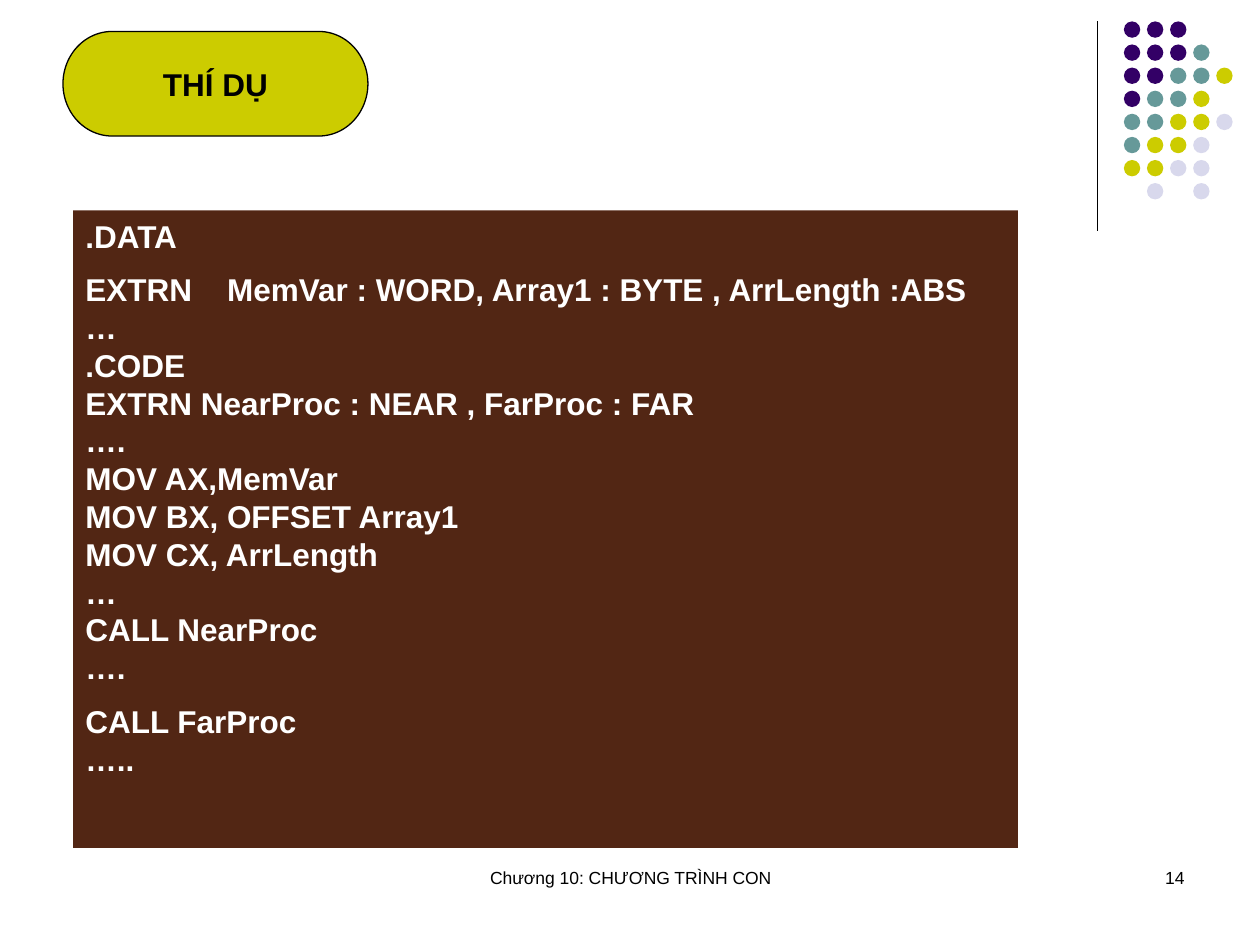
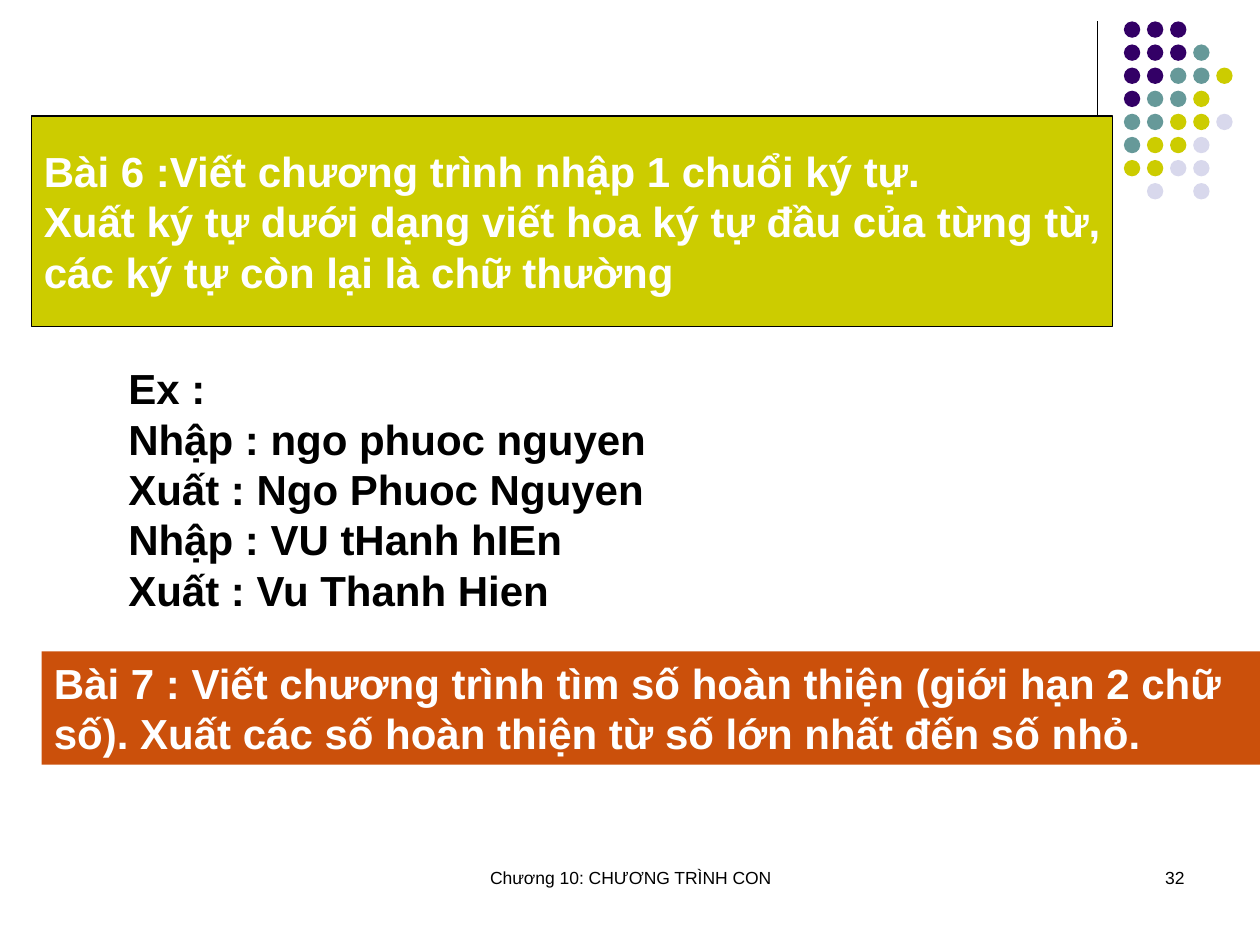
from pptx import Presentation
from pptx.dml.color import RGBColor
from pptx.enum.shapes import MSO_CONNECTOR as Connector, MSO_SHAPE as Shape
from pptx.enum.text import MSO_ANCHOR as Anchor, PP_ALIGN as Align
from pptx.oxml.ns import qn
from pptx.util import Inches, Pt
from lxml.etree import SubElement

FONT = "Arial"
BLACK = RGBColor(0x00, 0x00, 0x00)
WHITE = RGBColor(0xFF, 0xFF, 0xFF)
PURPLE = RGBColor(0x33, 0x00, 0x66)
TEAL = RGBColor(0x66, 0x99, 0x99)
OLIVE = RGBColor(0xCC, 0xCC, 0x00)
LAVENDER = RGBColor(0xD8, 0xD8, 0xEC)
BROWN = RGBColor(0x52, 0x26, 0x14)
ORANGE = RGBColor(0xCB, 0x50, 0x0B)

FOOTER = "Chương 10: CHƯƠNG TRÌNH CON"

# Corner dots: one letter per dot, a space where there is none
DOT_COLORS = {"P": PURPLE, "T": TEAL, "O": OLIVE, "L": LAVENDER}
DOT_ROWS = ["PPP", "PPPT", "PPTTO", "PTTO", "TTOOL", "TOOL", "OOLL", " L L"]
DOT_SIZE = Inches(0.13)
DOT_PITCH = Inches(0.55) / 3

CODE = [
    ".DATA",
    "EXTRN    MemVar : WORD, Array1 : BYTE , ArrLength :ABS\n…\n.CODE\n"
    "EXTRN NearProc : NEAR , FarProc : FAR\n….\nMOV AX,MemVar\n"
    "MOV BX, OFFSET Array1\nMOV CX, ArrLength\n…\nCALL NearProc\n….",
    "CALL FarProc\n…..",
]
EXERCISE_6 = (
    "Bài 6 :Viết chương trình nhập 1 chuổi ký tự.\n"
    "Xuất ký tự dưới dạng viết hoa ký tự đầu của từng từ,\n"
    "các ký tự còn lại là chữ thường"
)
EXAMPLE = (
    "Ex :\nNhập : ngo phuoc nguyen\nXuất : Ngo Phuoc Nguyen\n"
    "Nhập : VU tHanh hIEn\nXuất : Vu Thanh Hien"
)
EXERCISE_7 = (
    "Bài 7 : Viết chương trình tìm số hoàn thiện (giới hạn 2 chữ số). "
    "Xuất các số hoàn thiện từ số lớn nhất đến số nhỏ."
)


def write(box, paragraphs, size, color, bold=True, align=Align.LEFT,
          anchor=Anchor.TOP, wrap=True):
    """Fill a box; later paragraphs keep half a line of space before them."""
    frame = box.text_frame
    frame.word_wrap = wrap
    frame.vertical_anchor = anchor
    for index, text in enumerate(paragraphs):
        para = frame.add_paragraph() if index else frame.paragraphs[0]
        para.text = text
        para.alignment = align
        if index:
            para.space_before = Pt(size / 2)
        for span in para.runs:
            span.font.name = FONT
            span.font.size = Pt(size)
            span.font.bold = bold
            span.font.color.rgb = color


def add_text(page, area, paragraphs, size, color, **style):
    box = page.shapes.add_textbox(*map(Inches, area))
    write(box, paragraphs, size, color, **style)


def add_panel(page, kind, area, fill, paragraphs, size, color,
              outlined=False, **style):
    panel = page.shapes.add_shape(kind, *map(Inches, area))
    panel.shadow.inherit = False
    panel.fill.solid()
    panel.fill.fore_color.rgb = fill
    if outlined:
        panel.line.color.rgb = BLACK
        panel.line.width = Pt(0.75)
    else:
        panel.line.fill.background()
    write(panel, paragraphs, size, color, **style)


def add_rule(page):
    x = Inches(8.71)
    rule = page.shapes.add_connector(
        Connector.STRAIGHT, x, Inches(0.17), x, Inches(1.83))
    rule.line.color.rgb = BLACK
    rule.line.width = Pt(0.75)
    SubElement(rule._element.spPr, qn("a:effectLst"))


def add_dots(page):
    group = page.shapes.add_group_shape()
    for row, letters in enumerate(DOT_ROWS):
        for column, letter in enumerate(letters):
            if letter == " ":
                continue
            dot = group.shapes.add_shape(
                Shape.OVAL,
                round(Inches(8.92) + column * DOT_PITCH),
                round(Inches(0.17) + row * DOT_PITCH),
                DOT_SIZE, DOT_SIZE)
            dot.shadow.inherit = False
            dot.fill.solid()
            dot.fill.fore_color.rgb = DOT_COLORS[letter]
            dot.line.fill.background()


def add_page(deck, number):
    """Blank page with the shared corner decoration and footer."""
    page = deck.slides.add_slide(deck.slide_layouts[6])
    add_rule(page)
    add_dots(page)
    add_text(page, (3.42, 6.83, 3.17, 0.5), [FOOTER], 10, BLACK,
             bold=False, align=Align.CENTER)
    add_text(page, (7.17, 6.83, 2.33, 0.5), [str(number)], 10, BLACK,
             bold=False, align=Align.RIGHT)
    return page


def build_code_example(deck):
    page = add_page(deck, 14)
    add_panel(page, Shape.FLOWCHART_TERMINATOR, (0.5, 0.25, 2.42, 0.83), OLIVE,
              ["THÍ DỤ"], 18, BLACK, outlined=True, align=Align.CENTER,
              anchor=Anchor.MIDDLE, wrap=False)
    add_panel(page, Shape.RECTANGLE, (0.58, 1.67, 7.5, 5.06), BROWN,
              CODE, 18, WHITE)


def build_exercises(deck):
    page = add_page(deck, 32)
    add_panel(page, Shape.FLOWCHART_PROCESS, (0.25, 0.92, 8.58, 1.67), OLIVE,
              [EXERCISE_6], 24, WHITE, outlined=True,
              anchor=Anchor.MIDDLE, wrap=False)
    add_text(page, (0.92, 2.83, 7, 2.1), [EXAMPLE], 24, BLACK)
    add_panel(page, Shape.RECTANGLE, (0.33, 5.17, 9.67, 0.9), ORANGE,
              [EXERCISE_7], 24, WHITE)


def main():
    deck = Presentation()
    deck.slide_width = Inches(10)
    deck.slide_height = Inches(7.5)
    build_code_example(deck)
    build_exercises(deck)
    deck.save("out.pptx")


if __name__ == "__main__":
    main()
